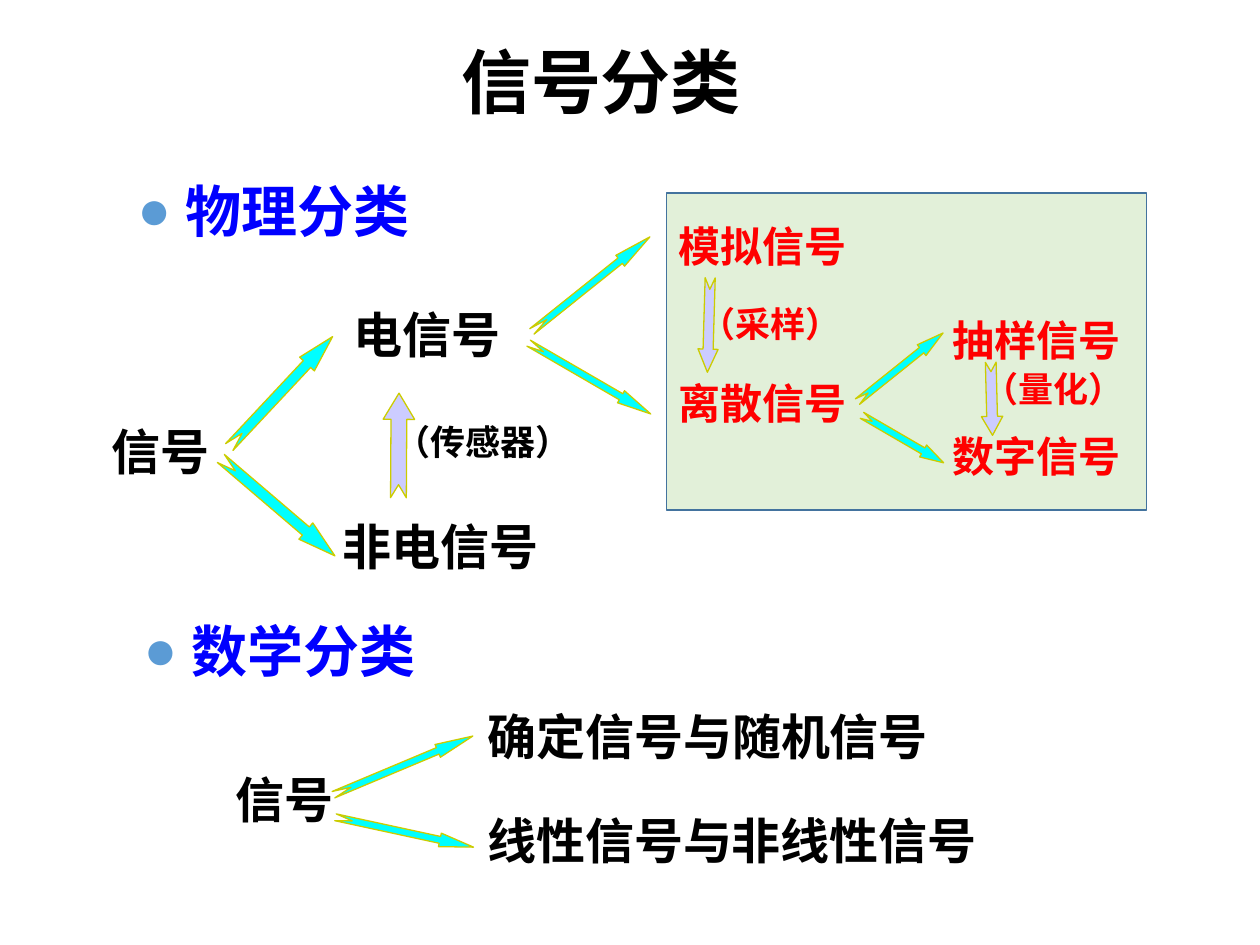
from lxml.etree import SubElement
from pptx import Presentation
from pptx.dml.color import RGBColor
from pptx.enum.shapes import MSO_SHAPE
from pptx.enum.text import MSO_ANCHOR, MSO_AUTO_SIZE, PP_ALIGN
from pptx.oxml.ns import qn
from pptx.util import Inches, Pt

FONT = "Noto Sans CJK SC"
BLACK, RED, BLUE = "000000", "FF0000", "0000FF"
CYAN, LILAC, OLIVE = "00FFFF", "CCCCFF", "CCCC00"

TITLE = ("信号分类", (0.27, 0.13, 9, 1.02))
HEADINGS = [
    ("物理分类", (0.99, 1.35, 2.5, 0.75)),
    ("数学分类", (1.04, 4.84, 2.5, 0.75)),
]
PANEL = (5.29, 1.53, 3.81, 2.52)
LABEL_HEIGHTS = {28: 0.57, 24: 0.5, 20: 0.43}
# text, left, top, width, size, color
LABELS = [
    ("信号", 0.79, 3.3, 1.17, 28, BLACK),
    ("电信号", 2.71, 2.37, 1.42, 28, BLACK),
    ("非电信号", 2.62, 4.05, 1.83, 28, BLACK),
    ("（传感器）", 3.04, 3.29, 1.75, 20, BLACK),
    ("模拟信号", 5.29, 1.7, 1.75, 24, RED),
    ("离散信号", 5.29, 2.95, 1.75, 24, RED),
    ("（采样）", 5.46, 2.35, 1.5, 20, RED),
    ("抽样信号", 7.46, 2.45, 1.75, 24, RED),
    ("数字信号", 7.46, 3.37, 1.75, 24, RED),
    ("（量化）", 7.71, 2.87, 1.5, 20, RED),
    ("信号", 1.77, 6.06, 1.17, 28, BLACK),
    ("确定信号与随机信号", 3.77, 5.56, 3.92, 28, BLACK),
    ("线性信号与非线性信号", 3.77, 6.38, 4.5, 28, BLACK),
]
ARROWS = [
    (1.63, 3.03, 1.2, 0.16, 313.1, 1.86, CYAN),
    (1.61, 3.94, 1.19, 0.17, 40.5, 1.78, CYAN),
    (4.09, 2.2, 1.2, 0.11, 321.3, 2.75, CYAN),
    (4.12, 2.95, 1.12, 0.11, 30.1, 2.48, CYAN),
    (6.71, 2.86, 0.87, 0.11, 321.3, 1.98, CYAN),
    (6.79, 3.43, 0.75, 0.11, 30.2, 1.71, CYAN),
    (2.6, 6.02, 1.2, 0.11, 337.2, 2.75, CYAN),
    (2.65, 6.55, 1.12, 0.11, 12.2, 2.48, CYAN),
    (2.75, 3.41, 0.83, 0.25, 270.3, 0.83, LILAC),
    (5.25, 2.5, 0.75, 0.16, 91.7, 1.15, LILAC),
    (7.58, 3.08, 0.58, 0.17, 88.6, 0.88, LILAC),
]


def color(value):
    return RGBColor.from_string(value)


def place(shape, box):
    shape.left, shape.top, shape.width, shape.height = map(Inches, box)


def write(shape, text, size, text_color=BLACK, align=PP_ALIGN.LEFT,
          anchor=MSO_ANCHOR.TOP, bullet=None):
    frame = shape.text_frame
    frame.word_wrap = True
    frame.auto_size = MSO_AUTO_SIZE.NONE
    frame.vertical_anchor = anchor
    paragraph = frame.paragraphs[0]
    paragraph.alignment = align
    paragraph.space_before = Pt(0)
    if bullet:
        properties = paragraph._p.get_or_add_pPr()
        properties.set("marL", str(Inches(0.38)))
        properties.set("indent", str(-Inches(0.38)))
        bullet_color = SubElement(properties, qn("a:buClr"))
        SubElement(bullet_color, qn("a:srgbClr")).set("val", bullet)
        SubElement(properties, qn("a:buChar")).set("char", "●")
    run = paragraph.add_run()
    run.text = text
    run.font.name = FONT
    run.font.size = Pt(size)
    run.font.bold = True
    run.font.color.rgb = color(text_color)
    SubElement(run._r.get_or_add_rPr(), qn("a:ea")).set("typeface", FONT)


def add_figure(slide, kind, box, fill, line, line_width):
    shape = slide.shapes.add_shape(kind, *map(Inches, box))
    shape.shadow.inherit = False
    shape.fill.solid()
    shape.fill.fore_color.rgb = color(fill)
    shape.line.color.rgb = color(line)
    shape.line.width = Pt(line_width)
    return shape


def main():
    presentation = Presentation()
    presentation.slide_width, presentation.slide_height = Inches(10), Inches(7.5)
    slide = presentation.slides.add_slide(presentation.slide_layouts[3])

    title, *bodies = slide.placeholders
    text, box = TITLE
    place(title, box)
    write(title, text, 40, align=PP_ALIGN.CENTER, anchor=MSO_ANCHOR.MIDDLE)
    for body, (text, box) in zip(bodies, HEADINGS):
        place(body, box)
        write(body, text, 32, BLUE, bullet="5B9BD5")

    add_figure(slide, MSO_SHAPE.RECTANGLE, PANEL, "E2F0D9", "43739E", 1)
    for *box, rotation, head, fill in ARROWS:
        arrow = add_figure(slide, MSO_SHAPE.NOTCHED_RIGHT_ARROW, box, fill, OLIVE, 0.75)
        arrow.rotation = rotation
        arrow.adjustments[0] = 0.5
        arrow.adjustments[1] = head
    for text, left, top, width, size, text_color in LABELS:
        box = (left, top, width, LABEL_HEIGHTS[size])
        label = slide.shapes.add_textbox(*map(Inches, box))
        write(label, text, size, text_color)

    presentation.save("out.pptx")


if __name__ == "__main__":
    main()
